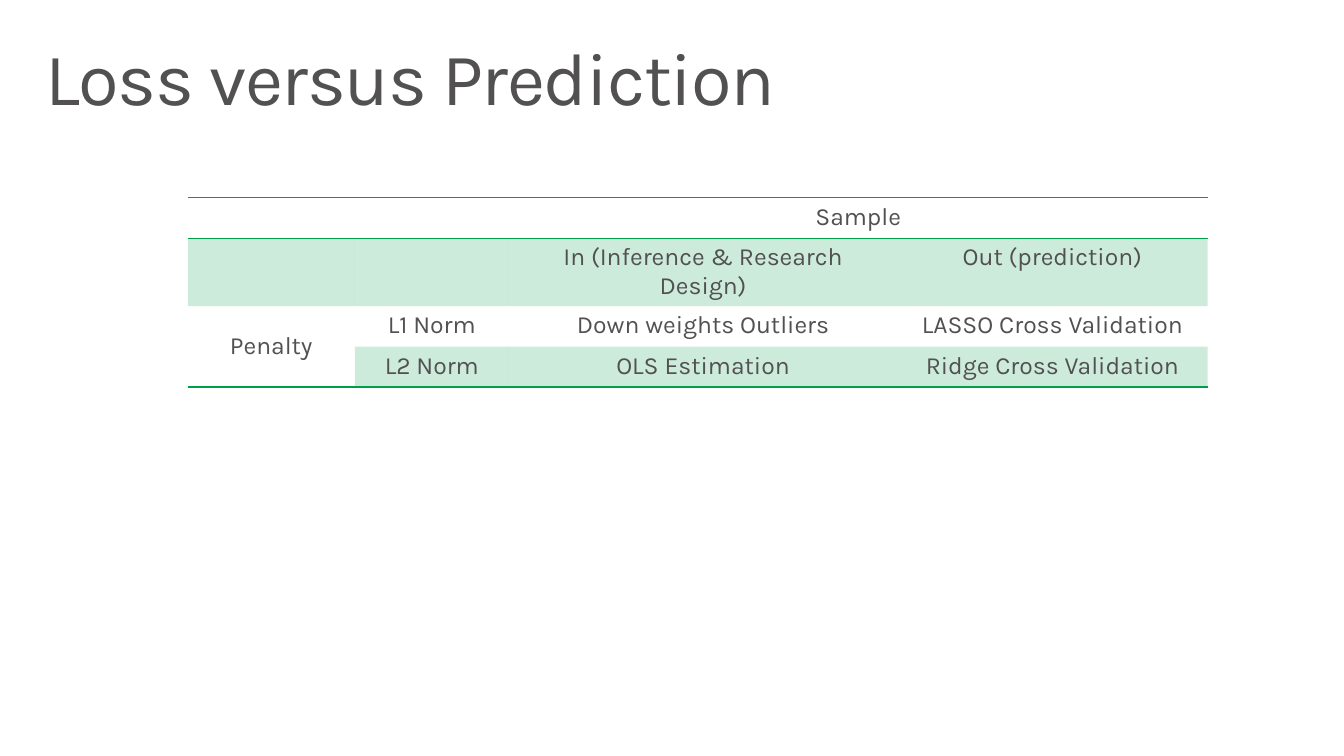
from dataclasses import dataclass

from lxml import etree
from pptx import Presentation
from pptx.dml.color import RGBColor
from pptx.enum.text import MSO_ANCHOR, PP_ALIGN
from pptx.oxml.ns import qn
from pptx.util import Inches, Pt

MIDDLE, TOP = MSO_ANCHOR.MIDDLE, MSO_ANCHOR.TOP
LEFT, CENTER = PP_ALIGN.LEFT, PP_ALIGN.CENTER
TITLE_ONLY = 5
NO_STYLE = "{2D5ABB26-0587-4C30-8999-92F81FD0307C}"

TITLE = "Loss versus Prediction"
ROWS = [
    ["", "", "Sample", ""],
    ["", "", "In (Inference & Research Design)", "Out (prediction)"],
    ["Penalty", "L1 Norm", "Down weights Outliers", "LASSO Cross Validation"],
    ["", "L2 Norm", "OLS Estimation", "Ridge Cross Validation"],
]
MERGES = [((0, 2), (0, 3)), ((2, 0), (3, 0))]
BANDED_ROWS = (1, 3)
RULED_EDGES = {0: ("lnT", "lnB"), 3: ("lnB",)}
COL_WIDTHS = [1.69, 1.56, 3.93, 3.14]
ROW_HEIGHT = 0.41


@dataclass(frozen=True)
class Theme:
    font: str = "Karla"
    text: str = "525051"
    green: str = "009E49"
    band_alpha: int = 20
    title_size: int = 54
    cell_size: int = 18
    rule_width: int = 1


THEME = Theme()


def add_run(p, text, size):
    r = p.add_run()
    r.text = text
    r.font.name = THEME.font
    r.font.size = Pt(size)
    r.font.color.rgb = RGBColor.from_string(THEME.text)
    return r


def add_rule(cell, edge, index):
    ln = etree.Element(qn(f"a:{edge}"), w=str(Pt(THEME.rule_width)))
    fill = etree.SubElement(ln, qn("a:solidFill"))
    etree.SubElement(fill, qn("a:srgbClr"), val=THEME.green)
    cell._tc.get_or_add_tcPr().insert(index, ln)


def fill_band(cell):
    cell.fill.solid()
    cell.fill.fore_color.rgb = RGBColor.from_string(THEME.green)
    color = cell._tc.tcPr.find(f".//{qn('a:srgbClr')}")
    etree.SubElement(color, qn("a:alpha"), val=str(THEME.band_alpha * 1000))


def add_title(slide):
    sp = slide.shapes.title
    sp.left, sp.top = Inches(0.3), Inches(0.32)
    sp.width, sp.height = Inches(13), Inches(1)
    tf = sp.text_frame
    tf.word_wrap = True
    tf.vertical_anchor = MIDDLE
    tf.margin_left = tf.margin_right = Inches(0.16)
    tf.margin_top = tf.margin_bottom = Inches(0.1)
    p = tf.paragraphs[0]
    p.alignment = LEFT
    p.line_spacing = 0.9
    r = add_run(p, TITLE, THEME.title_size)
    r.font._element.set("spc", "-100")


def add_norm_table(slide):
    frame = slide.shapes.add_table(
        len(ROWS), len(COL_WIDTHS), Inches(1.9), Inches(2),
        Inches(sum(COL_WIDTHS)), Inches(ROW_HEIGHT * len(ROWS)))
    table = frame.table
    table.first_row = table.horz_banding = False
    table._tbl.tblPr.find(qn("a:tableStyleId")).text = NO_STYLE
    for column, width in zip(table.columns, COL_WIDTHS):
        column.width = Inches(width)
    for row in table.rows:
        row.height = Inches(ROW_HEIGHT)
    for start, end in MERGES:
        table.cell(*start).merge(table.cell(*end))

    for i, row in enumerate(ROWS):
        for j, text in enumerate(row):
            cell = table.cell(i, j)
            p = cell.text_frame.paragraphs[0]
            p.alignment = CENTER
            if text:
                add_run(p, text, THEME.cell_size)
            cell.vertical_anchor = MIDDLE if text == "Penalty" else TOP
            if i in BANDED_ROWS and not cell.is_spanned:
                fill_band(cell)
            else:
                cell.fill.background()
            for index, edge in enumerate(RULED_EDGES.get(i, ())):
                add_rule(cell, edge, index)
    add_rule(table.cell(2, 0), "lnB", 0)


def main():
    prs = Presentation()
    prs.slide_width, prs.slide_height = Inches(13.6), Inches(7.65)
    slide = prs.slides.add_slide(prs.slide_layouts[TITLE_ONLY])
    add_title(slide)
    add_norm_table(slide)
    prs.save("out.pptx")


if __name__ == "__main__":
    main()
